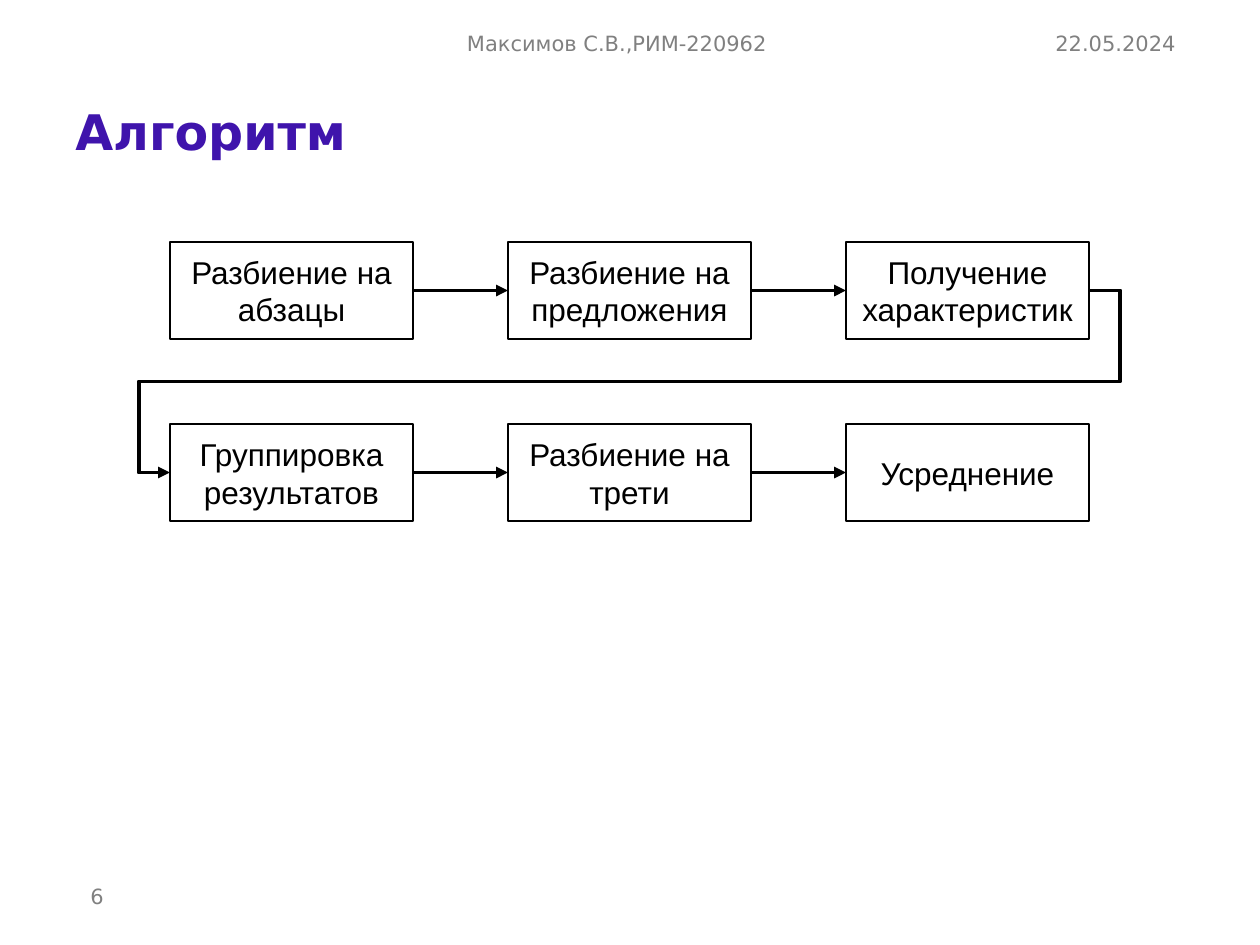
import pptx
import pptx.dml.color
import pptx.enum.shapes
import pptx.enum.text
import pptx.oxml
import pptx.oxml.ns
import pptx.util

PX = 914400 / 126
COLORS = {"title": "3F14AC", "muted": "808080", "ink": "000000", "paper": "FFFFFF"}
ALIGN = pptx.enum.text.PP_ALIGN
CONNECTOR = pptx.enum.shapes.MSO_CONNECTOR
RIGHT_SIDE, LEFT_SIDE = 3, 1

STEPS = [
    "Разбиение на абзацы", "Разбиение на предложения", "Получение характеристик",
    "Группировка результатов", "Разбиение на трети", "Усреднение",
]
COLUMNS = 3
GRID_LEFT, GRID_TOP = 170, 242
COLUMN_STEP, ROW_STEP = 338, 182
STEP_WIDTH, STEP_HEIGHT = 243, 97


def px(*lengths):
    return [pptx.util.Emu(round(length * PX)) for length in lengths]


def rgb(name):
    return pptx.dml.color.RGBColor.from_string(COLORS[name])


def write(shape, text, size, font, color, align, bold=False):
    frame = shape.text_frame
    frame.word_wrap = True
    frame.vertical_anchor = pptx.enum.text.MSO_ANCHOR.MIDDLE
    frame.text = text
    paragraph = frame.paragraphs[0]
    paragraph.alignment = align
    style = paragraph.runs[0].font
    style.name, style.size, style.bold = font, pptx.util.Pt(size), bold
    style.color.rgb = rgb(color)
    return paragraph


def add_label(slide, box, text, align, size=12, color="muted", bold=False):
    label = slide.shapes.add_textbox(*px(*box))
    return write(label, text, size, "DejaVu Sans", color, align, bold)


def add_step(flow, index, text):
    row, column = divmod(index, COLUMNS)
    step = flow.shapes.add_shape(
        pptx.enum.shapes.MSO_SHAPE.RECTANGLE,
        *px(GRID_LEFT + column * COLUMN_STEP, GRID_TOP + row * ROW_STEP,
            STEP_WIDTH, STEP_HEIGHT))
    step.shadow.inherit = False
    step.fill.solid()
    step.fill.fore_color.rgb = rgb("paper")
    step.line.color.rgb = rgb("ink")
    step.line.width = pptx.util.Pt(1.5)
    write(step, text, 18, "Arial", "ink", ALIGN.CENTER)
    return step


def add_arrow(flow, start, end, kind=CONNECTOR.STRAIGHT):
    arrow = flow.shapes.add_connector(
        kind, start.left + start.width, start.top + start.height // 2,
        end.left, end.top + end.height // 2)
    arrow.begin_connect(start, RIGHT_SIDE)
    arrow.end_connect(end, LEFT_SIDE)
    arrow.line.color.rgb = rgb("ink")
    arrow.line.width = pptx.util.Pt(2.25)
    line = arrow.line._get_or_add_ln()
    line.append(pptx.oxml.parse_xml(
        f'<a:tailEnd {pptx.oxml.ns.nsdecls("a")} type="triangle"/>'))
    line.addnext(pptx.oxml.parse_xml(f'<a:effectLst {pptx.oxml.ns.nsdecls("a")}/>'))
    return arrow


def route_around(arrow):
    """Lead the arrow out to the right, back between the rows and in from the left."""
    guides = "".join(
        f'<a:gd name="adj{number}" fmla="val {value}"/>'
        for number, value in enumerate((-3400, 50000, 103400), 1))
    geometry = arrow._element.spPr.find(pptx.oxml.ns.qn("a:prstGeom"))
    geometry.getparent().replace(geometry, pptx.oxml.parse_xml(
        f'<a:prstGeom {pptx.oxml.ns.nsdecls("a")} prst="bentConnector5">'
        f'<a:avLst>{guides}</a:avLst></a:prstGeom>'))


def main():
    presentation = pptx.Presentation()
    presentation.slide_width, presentation.slide_height = px(1260, 945)
    slide = presentation.slides.add_slide(presentation.slide_layouts[6])

    # Title, header and page number
    title = add_label(slide, (63, 86, 1125, 97), "Алгоритм", ALIGN.LEFT, 28, "title", True)
    title.line_spacing = 0.9
    add_label(slide, (1007, 24, 181, 38), "22.05.2024", ALIGN.RIGHT)
    add_label(slide, (271, 24, 692, 38), "Максимов С.В.,РИМ-220962", ALIGN.CENTER)
    add_label(slide, (63, 870, 68, 53), "6", ALIGN.CENTER)

    # Algorithm steps in reading order
    flow = slide.shapes.add_group_shape()
    steps = [add_step(flow, index, text) for index, text in enumerate(STEPS)]

    # Arrows from each step to the next; the row change bends around
    for index, (start, end) in enumerate(zip(steps, steps[1:]), 1):
        if index % COLUMNS:
            add_arrow(flow, start, end)
        else:
            route_around(add_arrow(flow, start, end, CONNECTOR.ELBOW))

    presentation.save("out.pptx")


if __name__ == "__main__":
    main()
